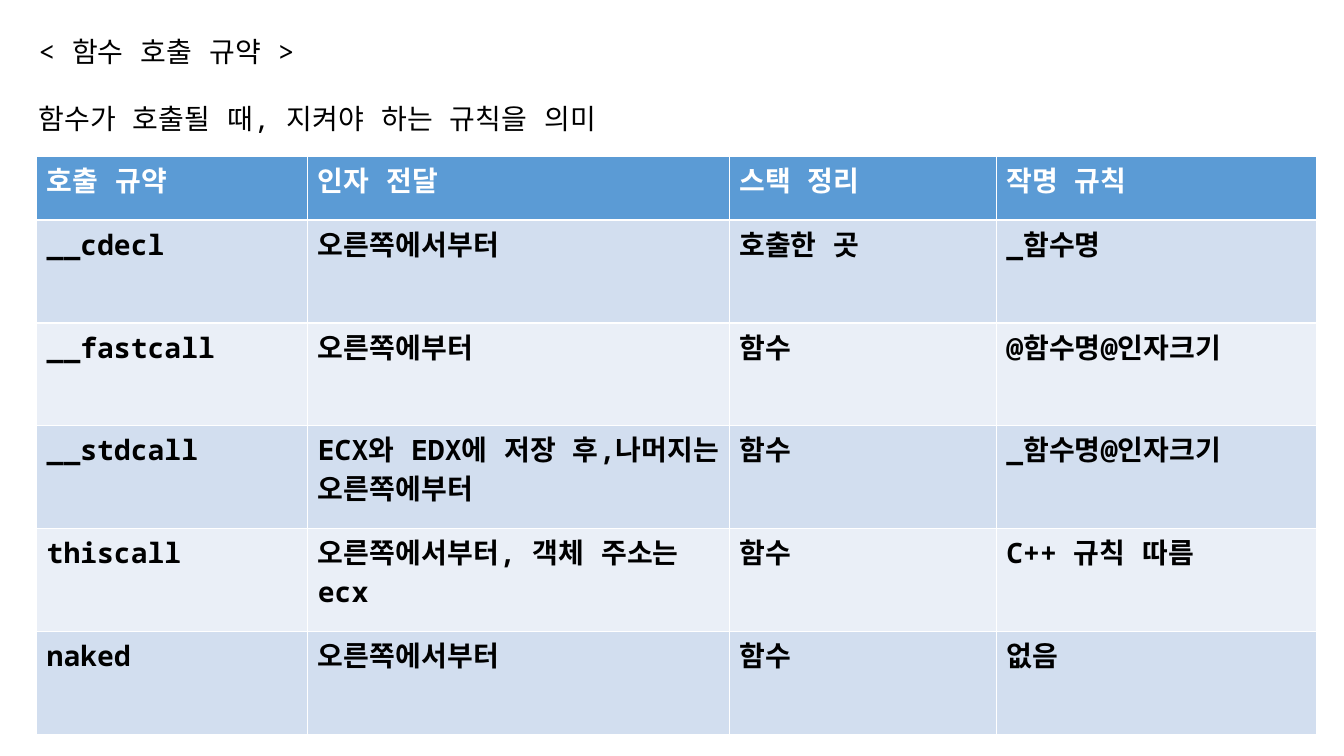
from dataclasses import dataclass

from pptx import Presentation
from pptx.dml.color import RGBColor
from pptx.enum import text
from pptx.oxml import parse_xml
from pptx.oxml.ns import nsdecls
from pptx.util import Pt


@dataclass(frozen=True)
class Theme:
    font: str = "Noto Sans Mono"
    size: int = 20
    ink: str = "000000"
    header_ink: str = "FFFFFF"
    header_fill: str = "5B9BD5"
    bands: tuple[str, str] = ("D2DEEF", "EAEFF7")


@dataclass(frozen=True)
class Convention:
    name: str
    arguments: str
    cleanup: str
    naming: str

    def cells(self) -> tuple[str, ...]:
        return self.name, self.arguments, self.cleanup, self.naming


THEME = Theme()
HEADER = Convention("호출 규약", "인자 전달", "스택 정리", "작명 규칙")
CONVENTIONS = (
    Convention("__cdecl", "오른쪽에서부터", "호출한 곳", "_함수명"),
    Convention("__fastcall", "오른쪽에부터", "함수", "@함수명@인자크기"),
    Convention("__stdcall", "ECX와 EDX에 저장 후,나머지는 오른쪽에부터",
               "함수", "_함수명@인자크기"),
    Convention("thiscall", "오른쪽에서부터, 객체 주소는 ecx", "함수", "C++ 규칙 따름"),
    Convention("naked", "오른쪽에서부터", "함수", "없음"),
)
COLUMN_WIDTHS = (193.7, 301, 190.8, 228.5)
HEADER_HEIGHT, ROW_HEIGHT = 45.4, 73.5


def write(frame, words: str, *, color: str = THEME.ink, bold: bool = False) -> None:
    para = frame.paragraphs[0]
    para.alignment = text.PP_ALIGN.LEFT
    para.line_spacing = 1.0
    para.space_before = Pt(0)
    span = para.add_run()
    span.text = words
    span.font.name = THEME.font
    span.font.size = Pt(THEME.size)
    span.font.bold = bold
    span.font.color.rgb = RGBColor.from_string(color)
    span.font._element.append(
        parse_xml(f'<a:ea {nsdecls("a")} typeface="{THEME.font}"/>'))


def place_line(box, words: str, top: float) -> None:
    """Move a placeholder to the left margin and give it one unbulleted line."""
    box.left, box.top, box.width, box.height = Pt(20.2), Pt(top), Pt(435.6), Pt(36)
    frame = box.text_frame
    frame.word_wrap = False
    frame.auto_size = text.MSO_AUTO_SIZE.NONE
    frame.vertical_anchor = text.MSO_ANCHOR.TOP
    write(frame, words)
    properties = frame.paragraphs[0]._p.get_or_add_pPr()
    properties.set("marL", "0")
    properties.set("indent", "0")
    properties.append(parse_xml(f'<a:buNone {nsdecls("a")}/>'))


def add_convention_table(page) -> None:
    rows = (HEADER, *CONVENTIONS)
    height = HEADER_HEIGHT + ROW_HEIGHT * len(CONVENTIONS)
    table = page.shapes.add_table(
        len(rows), len(COLUMN_WIDTHS), Pt(26.2), Pt(111.8),
        Pt(sum(COLUMN_WIDTHS)), Pt(height)).table
    for column, width in zip(table.columns, COLUMN_WIDTHS):
        column.width = Pt(width)
    for index, convention in enumerate(rows):
        is_header = index == 0
        table.rows[index].height = Pt(HEADER_HEIGHT if is_header else ROW_HEIGHT)
        fill = THEME.header_fill if is_header else THEME.bands[(index - 1) % 2]
        ink = THEME.header_ink if is_header else THEME.ink
        for cell, words in zip(table.rows[index].cells, convention.cells()):
            cell.fill.solid()
            cell.fill.fore_color.rgb = RGBColor.from_string(fill)
            write(cell.text_frame, words, color=ink, bold=True)


def main() -> None:
    deck = Presentation()
    deck.slide_width, deck.slide_height = Pt(960), Pt(540)
    page = deck.slides.add_slide(deck.slide_layouts[1])
    place_line(page.shapes.title, "< 함수 호출 규약 >", 20.9)
    place_line(page.placeholders[1], "함수가 호출될 때, 지켜야 하는 규칙을 의미", 68.9)
    add_convention_table(page)
    deck.save("out.pptx")


if __name__ == "__main__":
    main()
